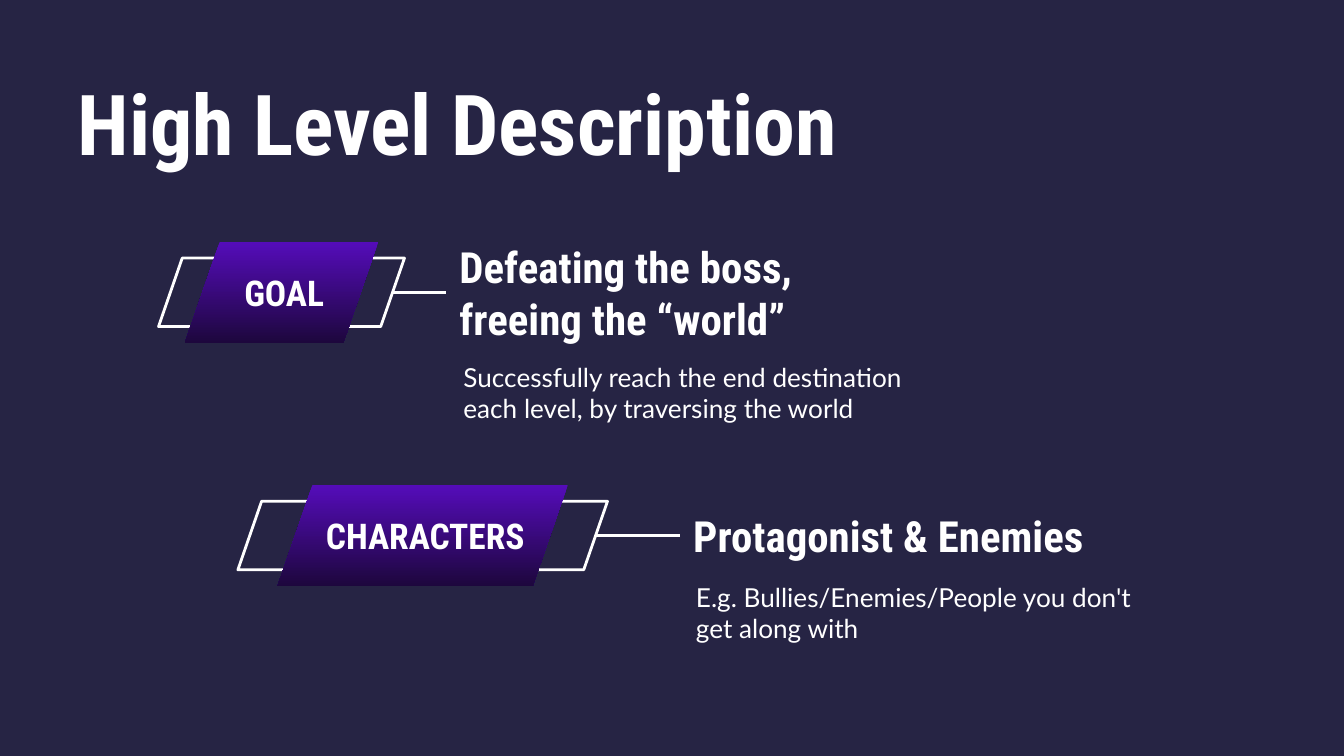
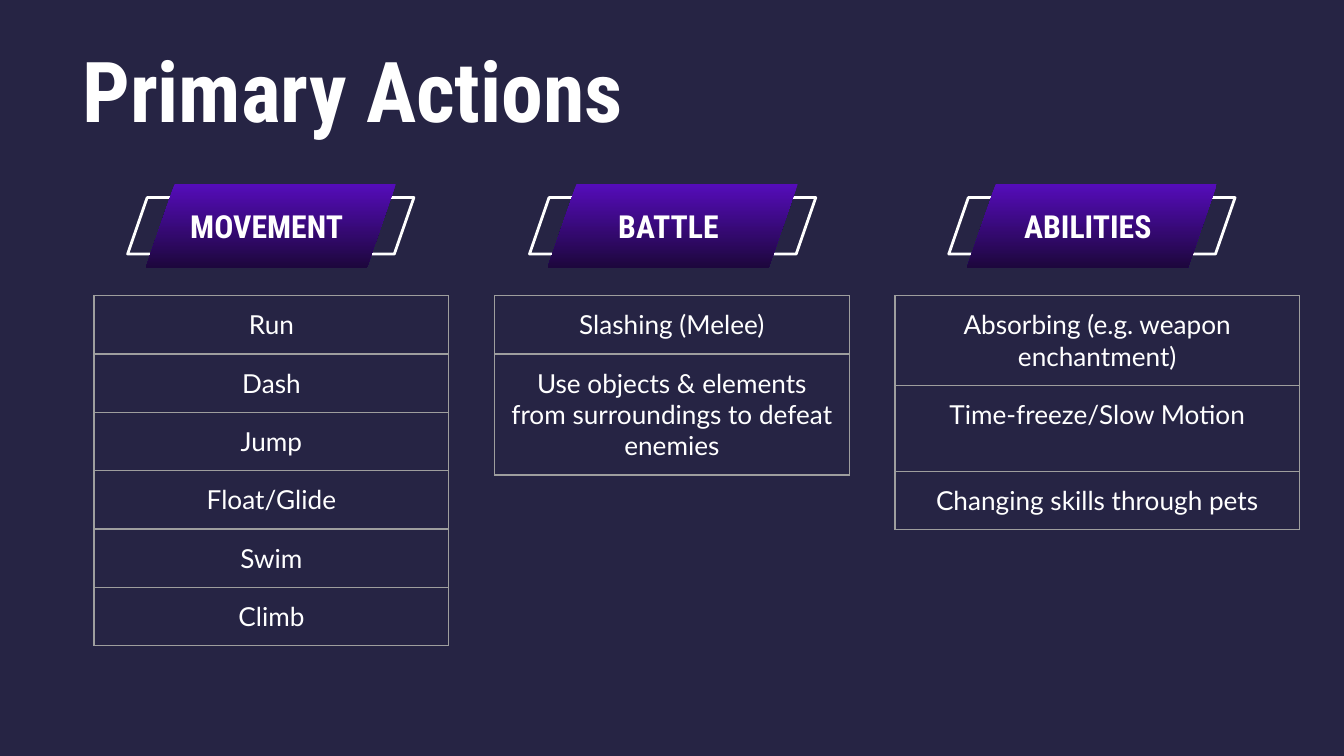
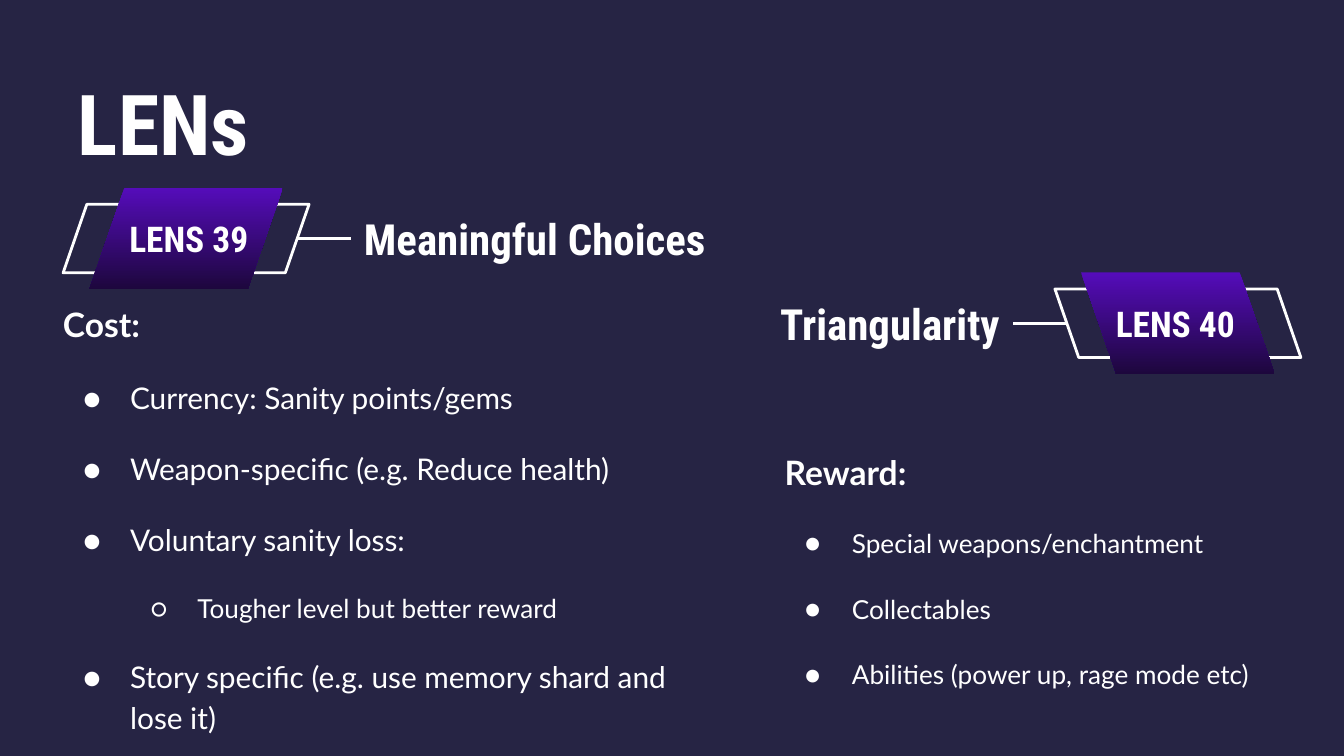
import lxml.etree
import pptx
import pptx.dml.color
import pptx.enum.shapes
import pptx.enum.text
import pptx.oxml.ns
import pptx.util

Inches = pptx.util.Inches
Pt = pptx.util.Pt
MSO_SHAPE = pptx.enum.shapes.MSO_SHAPE
ANCHOR = pptx.enum.text.MSO_ANCHOR
ALIGN = pptx.enum.text.PP_ALIGN
qn = pptx.oxml.ns.qn

NAVY = "262444"
WHITE = "FFFFFF"
VIOLET = "550CBA"
DARK_VIOLET = "1D073D"
GRID_GREY = "9E9E9E"
HEADING_FONT = "Roboto Condensed"
BODY_FONT = "Lato"

SLANT = 0.346
LINE_WIDTH = 1.5
HEADING_HEIGHT = 0.56
ROW_HEIGHT = 0.42


def color(hex_string):
    return pptx.dml.color.RGBColor.from_string(hex_string)


def box(left, top, width, height):
    return Inches(left), Inches(top), Inches(width), Inches(height)


def format_runs(paragraph, size, font=BODY_FONT, bold=False):
    for run in paragraph.runs:
        run.font.name = font
        run.font.size = Pt(size)
        run.font.bold = bold
        run.font.color.rgb = color(WHITE)


def prepare_frame(text_frame, anchor):
    text_frame.word_wrap = True
    text_frame.auto_size = pptx.enum.text.MSO_AUTO_SIZE.NONE
    text_frame.vertical_anchor = anchor
    text_frame.margin_left = text_frame.margin_right = Inches(0.1)
    text_frame.margin_top = text_frame.margin_bottom = Inches(0.1)


def add_text(slide, text, area, size, font=BODY_FONT, bold=False, align=ALIGN.LEFT):
    text_frame = slide.shapes.add_textbox(*box(*area)).text_frame
    prepare_frame(text_frame, ANCHOR.MIDDLE)
    text_frame.text = text
    paragraph = text_frame.paragraphs[0]
    paragraph.alignment = align
    format_runs(paragraph, size, font, bold)


def add_titled_slide(presentation, title, area, align=ALIGN.LEFT):
    slide = presentation.slides.add_slide(presentation.slide_layouts[5])
    shape = slide.shapes.title
    shape.left, shape.top, shape.width, shape.height = box(*area)
    prepare_frame(shape.text_frame, ANCHOR.MIDDLE)
    shape.text_frame.text = title
    paragraph = shape.text_frame.paragraphs[0]
    paragraph.alignment = align
    format_runs(paragraph, 45, HEADING_FONT, True)
    return slide


def add_parallelogram(slide, area, flipped):
    shape = slide.shapes.add_shape(MSO_SHAPE.PARALLELOGRAM, *box(*area))
    shape.adjustments[0] = SLANT
    shape.shadow.inherit = False
    if flipped:
        shape._element.spPr.xfrm.set("flipH", "1")
    return shape


def add_badge(slide, label, area, plate_width, size, label_shift, flipped=False,
              frame_fill=None):
    """Place an outlined frame in area, with a taller gradient plate and a label over it."""
    left, top, width, height = area
    frame = add_parallelogram(slide, area, flipped)
    if frame_fill:
        frame.fill.solid()
        frame.fill.fore_color.rgb = color(frame_fill)
    else:
        frame.fill.background()
    frame.line.color.rgb = color(WHITE)
    frame.line.width = Pt(LINE_WIDTH)

    plate_left = left + (width - plate_width) / 2
    plate_height = 1.48 * height
    plate_top = top - (plate_height - height) / 2
    plate = add_parallelogram(slide, (plate_left, plate_top, plate_width, plate_height), flipped)
    plate.fill.gradient()
    plate.fill.gradient_angle = 270
    for stop, shade in zip(plate.fill.gradient_stops, (VIOLET, DARK_VIOLET)):
        stop.color.rgb = color(shade)
    plate.line.fill.background()

    label_area = (plate_left + 0.15 + label_shift, top, plate_width - 0.3, height)
    add_text(slide, label, label_area, size, HEADING_FONT, True, ALIGN.CENTER)


def add_line(slide, start, end, middle):
    connector = slide.shapes.add_connector(
        pptx.enum.shapes.MSO_CONNECTOR.STRAIGHT,
        Inches(start), Inches(middle), Inches(end), Inches(middle))
    connector.line.color.rgb = color(WHITE)
    connector.line.width = Pt(LINE_WIDTH)
    lxml.etree.SubElement(connector._element.spPr, qn("a:effectLst"))


def add_badge_heading(slide, label, heading, area, plate_width, heading_left, heading_width,
                      flipped=False):
    """Join a badge in area to a heading on its right, or on its left when flipped."""
    left, top, width, height = area
    middle = top + height / 2
    heading_area = (heading_left, middle - HEADING_HEIGHT / 2, heading_width, HEADING_HEIGHT)
    add_text(slide, heading, heading_area, 23, HEADING_FONT, True,
             ALIGN.RIGHT if flipped else ALIGN.LEFT)
    add_badge(slide, label, area, plate_width, 19, -0.02 if flipped else 0.02, flipped)
    if flipped:
        add_line(slide, left + 0.09, heading_left + heading_width, middle)
    else:
        add_line(slide, left + width - 0.09, heading_left, middle)


def set_cell_borders(cell):
    properties = cell._tc.get_or_add_tcPr()
    for index, side in enumerate(("a:lnL", "a:lnR", "a:lnT", "a:lnB")):
        border = lxml.etree.Element(qn(side), w=str(Pt(0.75)))
        fill = lxml.etree.SubElement(border, qn("a:solidFill"))
        lxml.etree.SubElement(fill, qn("a:srgbClr"), val=GRID_GREY)
        properties.insert(index, border)


def add_action_table(slide, left, top, width, actions):
    heights = [height for _, height in actions]
    table = slide.shapes.add_table(
        len(actions), 1, *box(left, top, width, sum(heights))).table
    table.first_row = table.horz_banding = False
    for row, (action, height) in zip(table.rows, actions):
        row.height = Inches(height)
        cell = row.cells[0]
        cell.margin_left = cell.margin_right = Inches(0.1)
        cell.margin_top = cell.margin_bottom = Inches(0.1)
        cell.fill.background()
        set_cell_borders(cell)
        cell.text_frame.text = action
        paragraph = cell.text_frame.paragraphs[0]
        paragraph.alignment = ALIGN.CENTER
        format_runs(paragraph, 14)


def set_bullet(paragraph, level):
    paragraph.level = level
    properties = paragraph._p.get_or_add_pPr()
    properties.set("marL", str(Inches(0.5 * (level + 1))))
    properties.set("indent", str(Inches(-0.35)))
    bullet_color = lxml.etree.SubElement(properties, qn("a:buClr"))
    lxml.etree.SubElement(bullet_color, qn("a:srgbClr"), val=WHITE)
    lxml.etree.SubElement(properties, qn("a:buFont"), typeface=BODY_FONT)
    lxml.etree.SubElement(properties, qn("a:buChar"), char="●○"[level])


def add_bullet_list(slide, area, heading, items):
    """Write a bold heading and its bullets, each given as text, level and size."""
    text_frame = slide.shapes.add_textbox(*box(*area)).text_frame
    prepare_frame(text_frame, ANCHOR.TOP)
    text_frame.text = heading
    text_frame.paragraphs[0].line_spacing = 1.15
    format_runs(text_frame.paragraphs[0], 18, bold=True)
    for text, level, size in items:
        paragraph = text_frame.add_paragraph()
        paragraph.text = text
        set_bullet(paragraph, level)
        paragraph.line_spacing = 1.15
        paragraph.space_before = Pt(16)
        format_runs(paragraph, size)


def build_description(presentation):
    slide = add_titled_slide(presentation, "High Level Description", (0.48, 0.45, 5.89, 0.92))
    add_badge_heading(slide, "GOAL", "Defeating the boss, freeing the “world”",
                      (1.18, 1.92, 1.83, 0.51), 1.44, 3.32, 3.44)
    add_text(slide, "Successfully reach the end destination each level, by traversing the world",
             (3.35, 2.64, 3.64, 0.56), 14)
    add_badge_heading(slide, "CHARACTERS", "Protagonist & Enemies",
                      (1.77, 3.73, 2.75, 0.51), 2.16, 5.06, 3.44)
    add_text(slide, "E.g. Bullies/Enemies/People you don't get along with",
             (5.08, 4.28, 3.64, 0.56), 14)


def build_actions(presentation):
    slide = add_titled_slide(presentation, "Primary Actions", (0.23, 0.2, 4.51, 0.92),
                             ALIGN.RIGHT)
    movement = [(action, ROW_HEIGHT)
                for action in ("Run", "Dash", "Jump", "Float/Glide", "Swim", "Climb")]
    battle = [("Slashing (Melee)", ROW_HEIGHT),
              ("Use objects & elements from surroundings to defeat enemies", ROW_HEIGHT)]
    abilities = [("Absorbing (e.g. weapon enchantment)", ROW_HEIGHT),
                 ("Time-freeze/Slow Motion", 0.64),
                 ("Changing skills through pets", ROW_HEIGHT)]
    columns = [("MOVEMENT", 0.95, 2.64, movement),
               ("BATTLE", 3.94, 2.64, battle),
               ("ABILITIES", 7.06, 3.01, abilities)]
    for index, (label, badge_left, table_width, actions) in enumerate(columns):
        add_action_table(slide, 0.7 + 2.98 * index, 2.2, table_width, actions)
        add_badge(slide, label, (badge_left, 1.47, 2.13, 0.42), 1.86, 17, -0.03,
                  frame_fill=NAVY)


def build_lenses(presentation):
    slide = add_titled_slide(presentation, "LENs", (0.48, 0.45, 1.63, 0.92))
    add_badge_heading(slide, "LENS 39", "Meaningful Choices",
                      (0.47, 1.52, 1.83, 0.51), 1.44, 2.61, 2.76)
    add_badge_heading(slide, "LENS 40", "Triangularity",
                      (7.85, 2.15, 1.83, 0.51), 1.44, 5.55, 1.99, flipped=True)
    add_bullet_list(slide, (0.37, 2.12, 5.1, 3.49), "Cost:", [
        ("Currency: Sanity points/gems", 0, 16),
        ("Weapon-specific (e.g. Reduce health)", 0, 16),
        ("Voluntary sanity loss:", 0, 16),
        ("Tougher level but better reward", 1, 14),
        ("Story specific (e.g. use memory shard and lose it)", 0, 16),
    ])
    add_bullet_list(slide, (5.74, 3.22, 3.99, 2), "Reward:", [
        ("Special weapons/enchantment", 0, 14),
        ("Collectables", 0, 14),
        ("Abilities (power up, rage mode etc)", 0, 14),
    ])


def main():
    presentation = pptx.Presentation()
    presentation.slide_width = Inches(10)
    presentation.slide_height = presentation.slide_width * 9 // 16
    background = presentation.slide_master.background.fill
    background.solid()
    background.fore_color.rgb = color(NAVY)
    build_description(presentation)
    build_actions(presentation)
    build_lenses(presentation)
    presentation.save("out.pptx")


if __name__ == "__main__":
    main()
